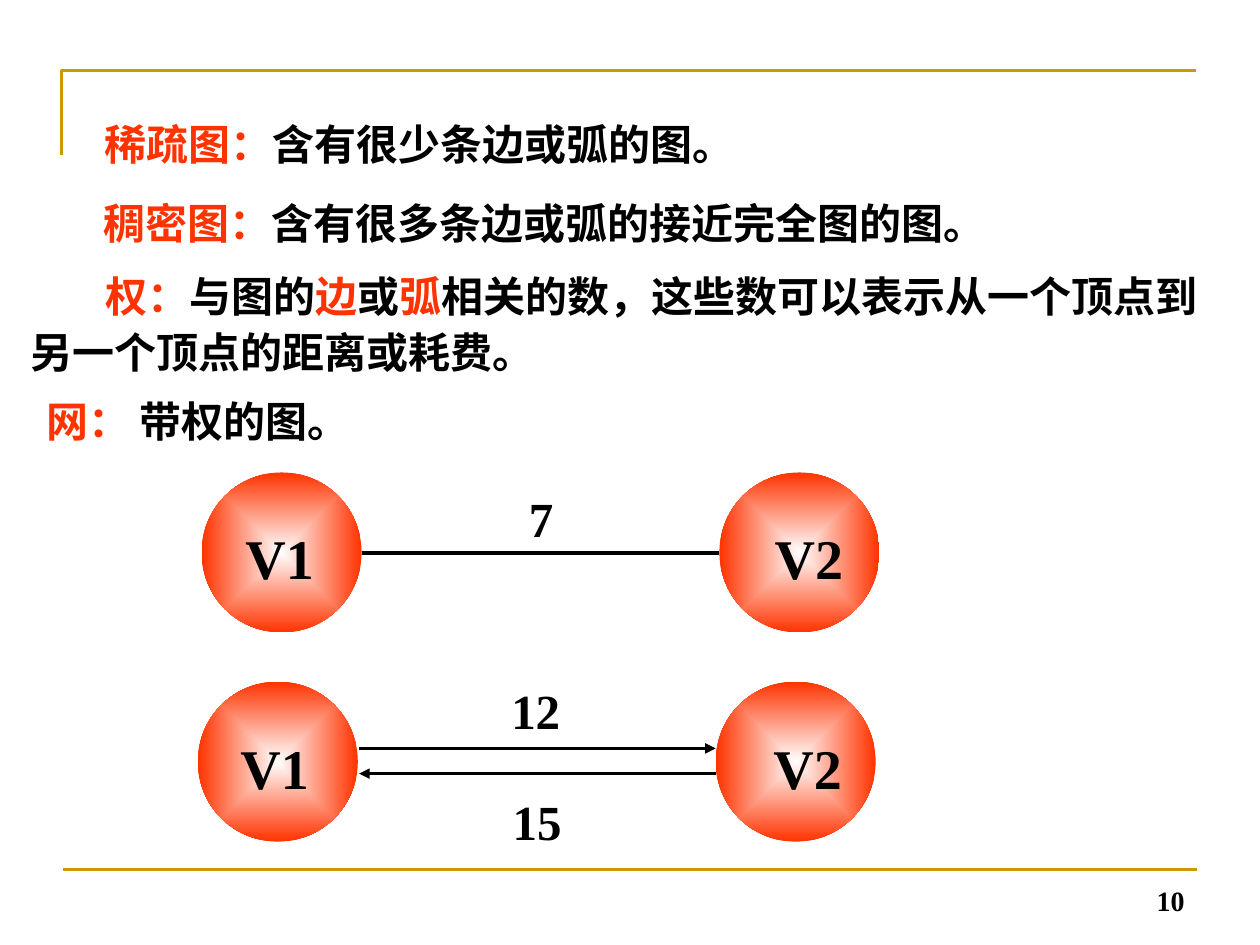
import lxml.etree
import pptx
import pptx.dml.color
import pptx.enum.shapes
import pptx.enum.text
import pptx.oxml.ns
import pptx.util

Inches = pptx.util.Inches
qn = pptx.oxml.ns.qn

COLORS = {"gold": "CC9900", "red": "FF3300", "black": "000000", "white": "FFFFFF"}


def color(name):
    return pptx.dml.color.RGBColor.from_string(COLORS[name])


class Painter:
    font = "Times New Roman"
    diameter = 1.27

    def __init__(self, page):
        self.page = page
        self.shapes = page.shapes

    def start_group(self):
        self.shapes = self.page.shapes.add_group_shape().shapes

    def end_group(self):
        self.shapes = self.page.shapes

    def text(self, left, top, width, height, paragraphs, size=24, indent=0, spacing=None):
        box = self.shapes.add_textbox(*map(Inches, (left, top, width, height)))
        frame = box.text_frame
        frame.word_wrap = True
        for index, spans in enumerate(paragraphs):
            para = frame.add_paragraph() if index else frame.paragraphs[0]
            if spacing:
                para.line_spacing = spacing
            if indent and index == 0:
                properties = para._p.get_or_add_pPr()
                properties.set("marL", "0")
                properties.set("indent", str(Inches(indent)))
            for words, name in spans:
                span = para.add_run()
                span.text = words
                span.font.name = self.font
                span.font.size = pptx.util.Pt(size)
                span.font.bold = True
                span.font.color.rgb = color(name)
        return frame

    def label(self, left, top, width, height, words, size, indent=0):
        return self.text(left, top, width, height, [[(words, "black")]], size, indent)

    def line(self, start, end, name="black", weight=2, arrow=False):
        line = self.shapes.add_connector(
            pptx.enum.shapes.MSO_CONNECTOR.STRAIGHT, *map(Inches, start + end))
        line.line.color.rgb = color(name)
        line.line.width = pptx.util.Pt(weight)
        if arrow:
            outline = line.line._get_or_add_ln()
            lxml.etree.SubElement(outline, qn("a:tailEnd"), type="triangle")
        lxml.etree.SubElement(line._element.spPr, qn("a:effectLst"))

    def corner(self, points, name, weight):
        corners = [tuple(map(Inches, point)) for point in points]
        builder = self.shapes.build_freeform(*corners[0])
        builder.add_line_segments(corners[1:], close=False)
        shape = builder.convert_to_shape()
        shape.shadow.inherit = False
        shape.fill.background()
        shape.line.color.rgb = color(name)
        shape.line.width = pptx.util.Pt(weight)

    def node(self, left, top):
        shape = self.shapes.add_shape(
            pptx.enum.shapes.MSO_SHAPE.OVAL,
            *map(Inches, (left, top, self.diameter, self.diameter)))
        shape.shadow.inherit = False
        shape.line.fill.background()
        shape.fill.gradient()
        for stop, name in zip(shape.fill.gradient_stops, ("white", "red")):
            stop.color.rgb = color(name)
        gradient = shape._element.spPr.find(qn("a:gradFill"))
        gradient.remove(gradient.find(qn("a:lin")))
        shade = lxml.etree.SubElement(gradient, qn("a:path"), path="rect")
        center = dict.fromkeys("ltrb", "50000")
        lxml.etree.SubElement(shade, qn("a:fillToRect"), **center)


def draw_definitions(painter):
    definitions = [
        (0.13, 0.89, 5.88, 0.5, None,
         [[("稀疏图：", "red"), ("含有很少条边或弧的图。", "black")]]),
        (0.12, 1.52, 7.88, 0.5, None,
         [[("稠密图：", "red"), ("含有很多条边或弧的接近完全图的图。", "black")]]),
        (0.14, 2.06, 9.55, 0.98, 1.1,
         [[("权：", "red"), ("与图的", "black"), ("边", "red"), ("或", "black"),
           ("弧", "red"), ("相关的数，这些数可以表示从一个顶点到", "black")],
          [("另一个顶点的距离或耗费。", "black")]]),
        (-0.33, 3.09, 4.2, 0.5, None,
         [[("网： ", "red"), ("带权的图。", "black")]]),
    ]
    for left, top, width, height, spacing, paragraphs in definitions:
        painter.text(left, top, width, height, paragraphs, indent=0.6, spacing=spacing)


def draw_graph(painter, top, nodes, edges, weights):
    painter.start_group()
    for words, left, text_left, indent in nodes:
        painter.node(left, top)
        painter.label(text_left, top + 0.36, 1.2, 0.64, words, 32, indent)
    for start, end, arrow in edges:
        painter.line(start, end, arrow=arrow)
    for words, left, weight_top, indent in weights:
        painter.label(left, weight_top, 1.4, 0.57, words, 28, indent)
    painter.end_group()


def main():
    deck = pptx.Presentation()
    deck.slide_width, deck.slide_height = Inches(10), Inches(7.5)
    painter = Painter(deck.slides.add_slide(deck.slide_layouts[6]))

    painter.corner([(0.49, 1.23), (0.49, 0.56), (9.49, 0.56)], "gold", 1.5)
    painter.line((0.5, 6.9), (9.5, 6.9), "gold", 1.5)
    draw_definitions(painter)

    draw_graph(
        painter, 5.41,
        [("V1", 1.57, 1.7, 0.11), ("V2", 5.68, 5.82, 0.22)],
        [((2.85, 5.94), (5.68, 5.94), True), ((5.68, 6.14), (2.85, 6.14), True)],
        [("12", 3.33, 5.35, 0.63), ("15", 3.32, 6.23, 0.65)])
    draw_graph(
        painter, 3.75,
        [("V1", 1.6, 1.74, 0.11), ("V2", 5.71, 5.83, 0.22)],
        [((2.87, 4.39), (5.71, 4.39), False)],
        [("7", 3.35, 3.83, 0.75)])

    number = painter.label(7.17, 6.83, 2.33, 0.5, "10", 16)
    number.vertical_anchor = pptx.enum.text.MSO_ANCHOR.BOTTOM
    number.paragraphs[0].alignment = pptx.enum.text.PP_ALIGN.RIGHT
    deck.save("out.pptx")


if __name__ == "__main__":
    main()
